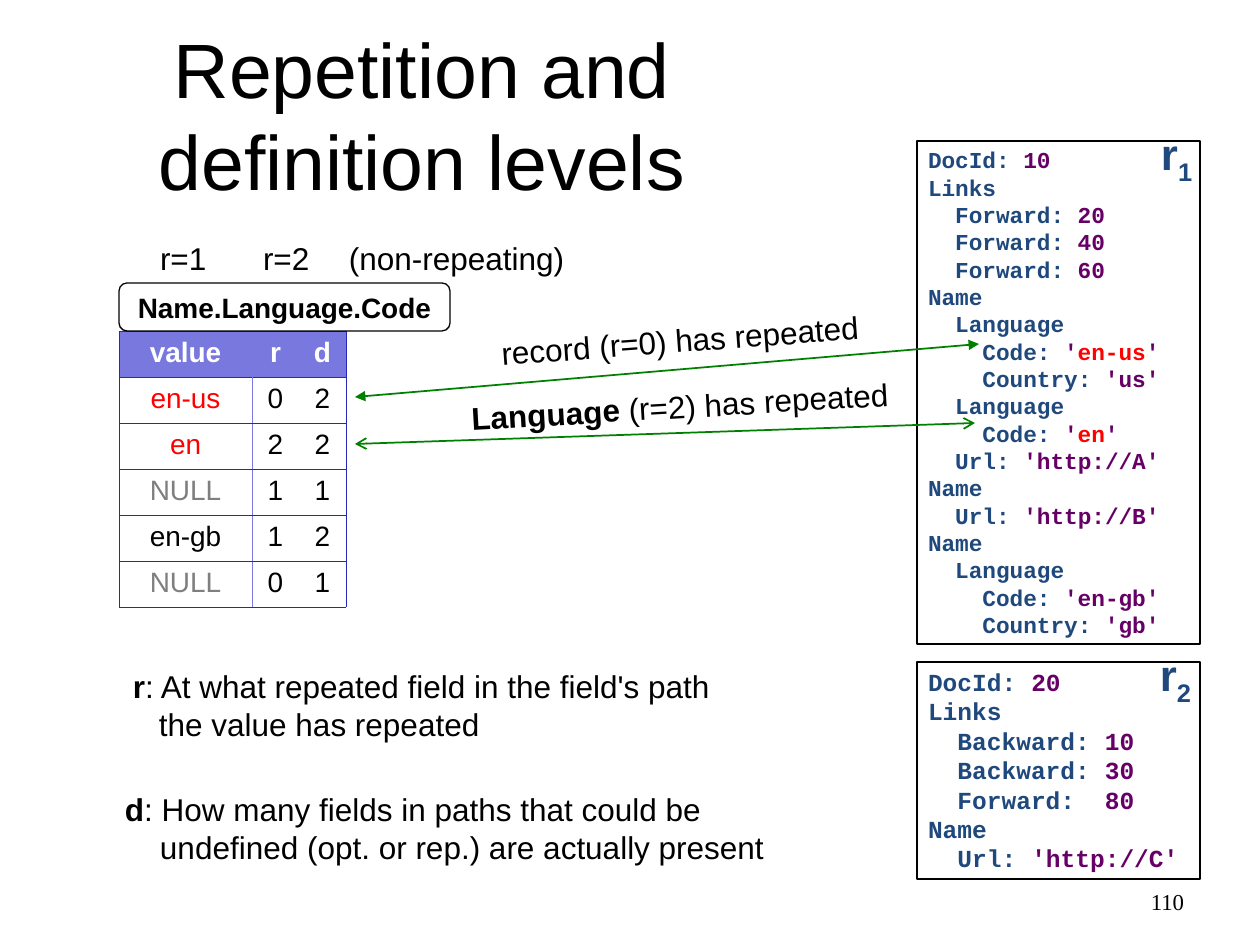
from lxml import etree
from pptx import Presentation
from pptx.dml.color import RGBColor
from pptx.enum.shapes import MSO_CONNECTOR, MSO_SHAPE
from pptx.enum.text import MSO_ANCHOR, PP_ALIGN
from pptx.oxml.ns import qn
from pptx.util import Pt

LEFT, CENTER, RIGHT = PP_ALIGN.LEFT, PP_ALIGN.CENTER, PP_ALIGN.RIGHT
TOP, MIDDLE = MSO_ANCHOR.TOP, MSO_ANCHOR.MIDDLE
RECTANGLE, ROUNDED = MSO_SHAPE.RECTANGLE, MSO_SHAPE.ROUNDED_RECTANGLE
STRAIGHT = MSO_CONNECTOR.STRAIGHT

SCALE = 914400 / 126
BLACK, WHITE, RED, GRAY = "000000", "FFFFFF", "FF0000", "7F7F7F"
NAVY, PURPLE, GREEN = "1F497D", "660066", "008000"
HEADER, GRID = "7878DE", "2828B8"

TITLE = "Repetition and definition levels"
RECORDS = [
    dict(place=(917, 141, 283, 503), size=13, number="1", label=(1150, 122), lines=[
        "DocId: 10", "Links", "  Forward: 20", "  Forward: 40", "  Forward: 60",
        "Name", "  Language", "    Code: 'en-us'", "    Country: 'us'",
        "  Language", "    Code: 'en'", "  Url: 'http://A'",
        "Name", "  Url: 'http://B'",
        "Name", "  Language", "    Code: 'en-gb'", "    Country: 'gb'"]),
    dict(place=(917, 662, 283, 217), size=14, number="2", label=(1149, 643), lines=[
        "DocId: 20", "Links", "  Backward: 10", "  Backward: 30", "  Forward:  80",
        "Name", "  Url: 'http://C'"]),
]
TABLE_PLACE = (119, 331)
COLUMN_WIDTHS = [133, 47, 47]
ROW_HEIGHT = 46
ROWS = [("value", "r", "d"), ("en-us", "0", "2"), ("en", "2", "2"),
        ("NULL", "1", "1"), ("en-gb", "1", "2"), ("NULL", "0", "1")]
VALUE_COLORS = {"en-us": RED, "en": RED, "NULL": GRAY}
COLUMN_NAME = ("Name.Language.Code", (119, 283, 331, 48))
DEFINITIONS = [
    ("r", ": At what repeated field in the field's path the value has repeated",
     (122, 662, 608, 87), 26),
    ("d", ": How many fields in paths that could be undefined (opt. or rep.) "
     "are actually present", (114, 785, 680, 87), 35),
]
LABELS = [
    ([("record (r=0) has repeated", {})], (490, 316, 381, 49), -4.2),
    ([("r=2", {})], (252, 234, 69, 49), 0),
    ([("r=1", {})], (149, 234, 69, 49), 0),
    ([("Language ", {"bold": True}), ("(r=2) has repeated", {})],
     (460, 382, 440, 49), -3.3),
    ([("(non-repeating)", {})], (338, 234, 238, 49), 0),
]
ARROWS = [((355, 397), (979, 344), "triangle"), ((355, 444), (975, 423), "arrow")]


def px(*lengths):
    return [round(length * SCALE) for length in lengths]


def rgb(color):
    return RGBColor.from_string(color)


def write(para, text, size=18, font="Arial", color=BLACK, bold=False, baseline=0):
    span = para.add_run()
    span.text = text
    span.font.size = Pt(size)
    span.font.name = font
    span.font.bold = bold
    span.font.color.rgb = rgb(color)
    if baseline:
        span.font._element.set("baseline", str(baseline))


def fill_text(frame, paragraphs, align=LEFT, anchor=TOP, wrap=True, hang=0,
              margins=(11, 5), **style):
    frame.word_wrap = wrap
    frame.vertical_anchor = anchor
    frame.margin_left = frame.margin_right = px(margins[0])[0]
    frame.margin_top = frame.margin_bottom = px(margins[1])[0]
    for index, spans in enumerate(paragraphs):
        para = frame.add_paragraph() if index else frame.paragraphs[0]
        para.alignment = align
        if hang:
            indent = px(hang)[0]
            para._p.get_or_add_pPr().set("marL", str(indent))
            para._p.get_or_add_pPr().set("indent", str(-indent))
        for text, changes in spans:
            write(para, text, **{**style, **changes})


def add_text(page, place, paragraphs, rotation=0, **style):
    box = page.shapes.add_textbox(*px(*place))
    box.rotation = rotation
    fill_text(box.text_frame, paragraphs, **style)


def add_frame(page, kind, place, paragraphs, **style):
    box = page.shapes.add_shape(kind, *px(*place))
    box.shadow.inherit = False
    box.fill.background()
    box.line.color.rgb = rgb(BLACK)
    box.line.width = Pt(0.75)
    fill_text(box.text_frame, paragraphs, **style)


def code_spans(line):
    key, colon, value = line.partition(": ")
    spans = [(key + colon, {"color": NAVY})]
    word = value.strip("'")
    if VALUE_COLORS.get(word) == RED:
        quote = ("'", {"color": PURPLE})
        spans += [quote, (word, {"color": RED}), quote]
    elif value:
        spans.append((value, {"color": PURPLE}))
    return spans


def add_border(cell, side, color=None, width=0.34):
    line = etree.SubElement(cell._tc.get_or_add_tcPr(), qn("a:ln" + side))
    if color:
        line.set("w", str(Pt(width)))
        paint = etree.SubElement(line, qn("a:solidFill"))
        etree.SubElement(paint, qn("a:srgbClr"), val=color)
    else:
        etree.SubElement(line, qn("a:noFill"))


def add_levels_table(page):
    size = (sum(COLUMN_WIDTHS), ROW_HEIGHT * len(ROWS))
    table = page.shapes.add_table(len(ROWS), len(COLUMN_WIDTHS),
                                  *px(*TABLE_PLACE, *size)).table
    for column, width in zip(table.columns, px(*COLUMN_WIDTHS)):
        column.width = width
    inner = (HEADER, 0.45)
    for row, values in enumerate(ROWS):
        table.rows[row].height = px(ROW_HEIGHT)[0]
        for column, value in enumerate(values):
            cell = table.cell(row, column)
            add_border(cell, "L", *[(GRID,), inner if row else (), ()][column])
            add_border(cell, "R", *[inner if row else (), (), (GRID,)][column])
            add_border(cell, "T", GRID)
            add_border(cell, "B", GRID)
            if row:
                cell.fill.background()
            else:
                cell.fill.solid()
                cell.fill.fore_color.rgb = rgb(HEADER)
            cell.margin_left = cell.margin_right = px(11)[0]
            cell.margin_top = cell.margin_bottom = px(6)[0]
            para = cell.text_frame.paragraphs[0]
            para.alignment = CENTER
            color = VALUE_COLORS.get(value, BLACK) if row else WHITE
            write(para, value, size=16, color=color, bold=row == 0)


def add_arrow(page, start, end, head):
    arrow = page.shapes.add_connector(STRAIGHT, *px(*start, *end))
    arrow.line.color.rgb = rgb(GREEN)
    arrow.line.width = Pt(1)
    for tag in ("a:headEnd", "a:tailEnd"):
        etree.SubElement(arrow.line._get_or_add_ln(), qn(tag), type=head)
    etree.SubElement(arrow._element.spPr, qn("a:effectLst"))


def main():
    deck = Presentation()
    deck.slide_width, deck.slide_height = px(1260, 945)
    page = deck.slides.add_slide(deck.slide_layouts[5])
    title = page.shapes.title
    title.left, title.top, title.width, title.height = px(63, 19, 718, 189)
    fill_text(title.text_frame, [[(TITLE, {})]], align=CENTER, anchor=MIDDLE,
              margins=(13, 6), size=44)
    add_text(page, (903, 876, 294, 50), [[("110", {})]], align=RIGHT,
             anchor=MIDDLE, margins=(13, 6), size=13, font="Times New Roman")
    for record in RECORDS:
        add_frame(page, RECTANGLE, record["place"], map(code_spans, record["lines"]),
                  size=record["size"], font="Courier New", bold=True)
        add_text(page, (*record["label"], 76, 71),
                 [[("r", {}), (record["number"], {"baseline": -25000})]],
                 size=25, color=NAVY, bold=True)
    add_levels_table(page)
    name, place = COLUMN_NAME
    add_frame(page, ROUNDED, place, [[(name, {})]], align=CENTER, anchor=MIDDLE,
              size=16, bold=True)
    for letter, meaning, place, hang in DEFINITIONS:
        add_text(page, place, [[(letter, {"bold": True}), (meaning, {})]], hang=hang)
    for spans, place, rotation in LABELS:
        add_text(page, place, [spans], rotation=rotation, wrap=False)
    for start, end, head in ARROWS:
        add_arrow(page, start, end, head)
    deck.save("out.pptx")


if __name__ == "__main__":
    main()
